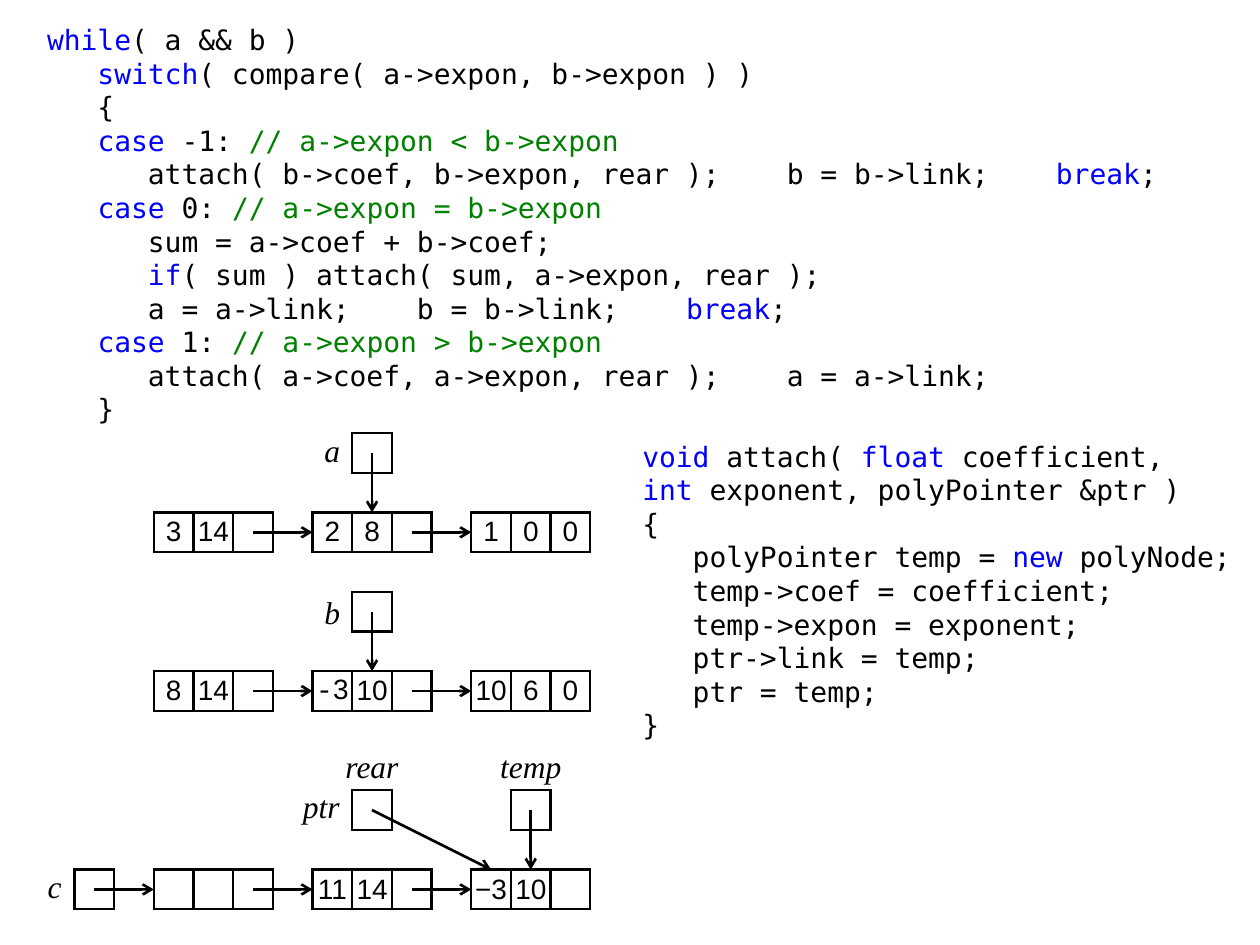
from typing import NamedTuple, Optional

from lxml import etree
from pptx import Presentation
from pptx import util as u
from pptx.dml.color import RGBColor
from pptx.enum import shapes, text
from pptx.oxml import ns

COLORS = {"ink": "000000", "keyword": "0000FF", "comment": "008000"}
CODE_FONT, CELL_FONT, LABEL_FONT = "DejaVu Sans Mono", "Arial", "Times New Roman"
CELL = 0.8  # grid step in cm
GRID_LEFT, GRID_TOP = 1.5, 8.73
BORDER = u.Pt(1.5)
GAP = None  # table column between two nodes

# Keywords stand between backticks; "\n" inside an entry breaks the line.
MERGE_CODE = [
    "`while`( a && b )",
    "`   switch`( compare( a->expon, b->expon ) )",
    "   {",
    "   `case` -1: // a->expon < b->expon",
    "      attach( b->coef, b->expon, rear );    b = b->link;    `break`;",
    "   `case` 0: // a->expon = b->expon",
    "      sum = a->coef + b->coef;",
    "      `if`( sum ) attach( sum, a->expon, rear );",
    "      a = a->link;    b = b->link;    `break`;",
    "   `case` 1: // a->expon > b->expon",
    "      attach( a->coef, a->expon, rear );    a = a->link;",
    "   }",
]
ATTACH_CODE = [
    "`void` attach( `float `coefficient,\n`int `exponent, polyPointer &ptr )",
    "{",
    "   polyPointer temp = `new `polyNode;",
    "   temp->coef = coefficient;",
    "   temp->expon = exponent;",
    "   ptr->link = temp;",
    "   ptr = temp;",
    "}",
]


class Cells(NamedTuple):
    """A row of cells; col and row are grid positions."""
    col: float
    row: float
    values: list[Optional[str]]


class Label(NamedTuple):
    name: str
    col: float
    row: float
    width: float = 1
    bottom: float = 0.0
    anchor: text.MSO_ANCHOR = text.MSO_ANCHOR.MIDDLE
    align: text.PP_ALIGN = text.PP_ALIGN.CENTER
    side: float = 0.0


class Arrow(NamedTuple):
    start: tuple[float, float]
    end: tuple[float, float]


LIST_A, LIST_B, LIST_C = 2, 6, 11  # grid rows of the three lists
NODES = (2, 6, 10)  # grid columns of the list nodes

CELL_ROWS = [
    Cells(2, LIST_A, ["3", "14", "", GAP, "2", "8", "", GAP, "1", "0", "0"]),
    Cells(2, LIST_B, ["8", "14", "", GAP, "-3", "10", "", GAP, "10", "6", "0"]),
    Cells(2, LIST_C, ["", "", ""]),
    Cells(6, LIST_C, ["11", "14", ""]),
    Cells(10, LIST_C, ["−3", "10", ""]),
] + [Cells(col, row, [""]) for col, row in ((7, 0), (7, 4), (0, 11), (7, 9), (11, 9))]

LABELS = [
    Label("a", 6, 0, bottom=0.13),
    Label("b", 6, 4),
    Label("c", -1, LIST_C, bottom=0.13),
    Label("rear", 6.5, 8, 2, 0.1, text.MSO_ANCHOR.BOTTOM),
    Label("temp", 10.5, 8, 2, 0.1, text.MSO_ANCHOR.BOTTOM),
    Label("ptr", 5, 9, 2, 0.1, text.MSO_ANCHOR.BOTTOM, text.PP_ALIGN.RIGHT, 0.25),
]

ARROWS = [
    Arrow((node + 2.5, row + 0.5), (node + 4, row + 0.5))
    for row in (LIST_A, LIST_B, LIST_C) for node in NODES[:-1]
] + [
    Arrow((0.5, 11.5), (2, 11.5)),
    Arrow((7.5, 0.5), (7.5, 2)),
    Arrow((7.5, 4.5), (7.5, 6)),
    Arrow((11.5, 9.5), (11.5, 11)),
    Arrow((7.5, 9.5), (10.5, 11)),
]


def grid(col: float, row: float) -> tuple[u.Length, u.Length]:
    return u.Cm(GRID_LEFT + col * CELL), u.Cm(GRID_TOP + row * CELL)


def style(font, face: str, size: float, color: str = "ink") -> None:
    font.name, font.size = face, u.Pt(size)
    font.color.rgb = RGBColor.from_string(COLORS[color])


def add_code(slide, left: float, top: float, width: float, height: float,
             lines: list[str]) -> None:
    frame = slide.shapes.add_textbox(*map(u.Cm, (left, top, width, height))).text_frame
    frame.word_wrap = True
    for number, line in enumerate(lines):
        paragraph = frame.paragraphs[0] if number == 0 else frame.add_paragraph()
        paragraph.line_spacing = u.Pt(19.2)
        for part_number, part in enumerate(line.split("\n")):
            if part_number:
                paragraph.add_line_break()
            add_highlighted(paragraph, part)


def add_highlighted(paragraph, line: str) -> None:
    code, slashes, remark = line.partition("//")
    pieces = [(piece, "keyword" if i % 2 else "ink")
              for i, piece in enumerate(code.split("`"))]
    pieces.append((slashes + remark, "comment"))
    for piece, color in pieces:
        if piece:
            run = paragraph.add_run()
            run.text = piece
            style(run.font, CODE_FONT, 16, color)


def set_borders(cell, is_gap: bool) -> None:
    """Outline a cell; a gap keeps only its left and right sides."""
    properties = cell._tc.get_or_add_tcPr()
    for side in "LRTB":
        line = etree.SubElement(properties, ns.qn(f"a:ln{side}"), w=str(BORDER))
        if is_gap and side in "TB":
            etree.SubElement(line, ns.qn("a:noFill"))
        else:
            fill = etree.SubElement(line, ns.qn("a:solidFill"))
            etree.SubElement(fill, ns.qn("a:srgbClr"), val=COLORS["ink"])


def add_cells(slide, cells: Cells) -> None:
    count = len(cells.values)
    table = slide.shapes.add_table(1, count, *grid(cells.col, cells.row),
                                   u.Cm(count * CELL), u.Cm(CELL)).table
    table.first_row = table.horz_banding = False
    for column, cell, value in zip(table.columns, table.rows[0].cells, cells.values):
        column.width = u.Cm(CELL)
        set_borders(cell, value is GAP)
        cell.fill.background()
        cell.margin_left = cell.margin_right = cell.margin_top = cell.margin_bottom = 0
        cell.vertical_anchor = text.MSO_ANCHOR.MIDDLE
        paragraph = cell.text_frame.paragraphs[0]
        paragraph.alignment = text.PP_ALIGN.CENTER
        digits = (value or "").removeprefix("-")
        sign = "-" if digits != (value or "") else ""
        for piece, face in ((sign, "Courier New"), (digits, CELL_FONT)):
            if piece:
                run = paragraph.add_run()
                run.text = piece
                style(run.font, face, 16)


def add_label(slide, label: Label) -> None:
    frame = slide.shapes.add_textbox(*grid(label.col, label.row),
                                     u.Cm(label.width * CELL), u.Cm(CELL)).text_frame
    frame.word_wrap = False
    frame.margin_left = frame.margin_right = u.Cm(label.side)
    frame.margin_top, frame.margin_bottom = 0, u.Cm(label.bottom)
    frame.vertical_anchor = label.anchor
    frame.text = label.name
    name = frame.paragraphs[0]
    name.alignment = label.align
    style(name.runs[0].font, LABEL_FONT, 18)
    name.runs[0].font.italic = True


def add_arrow(slide, arrow: Arrow) -> None:
    link = slide.shapes.add_connector(shapes.MSO_CONNECTOR.STRAIGHT,
                                      *grid(*arrow.start), *grid(*arrow.end))
    link.line.width = BORDER
    link.line.color.rgb = RGBColor.from_string(COLORS["ink"])
    etree.SubElement(link.line._get_or_add_ln(), ns.qn("a:tailEnd"), type="arrow")
    etree.SubElement(link._element.spPr, ns.qn("a:effectLst"))


def main() -> None:
    deck = Presentation()
    deck.slide_width, deck.slide_height = u.Cm(25.4), u.Cm(19.05)
    slide = deck.slides.add_slide(deck.slide_layouts[6])
    add_code(slide, 0.7, 0.33, 23.2, 8.4, MERGE_CODE)
    add_code(slide, 12.7, GRID_TOP, 12.45, 6.4, ATTACH_CODE)
    for draw, items in ((add_cells, CELL_ROWS), (add_label, LABELS), (add_arrow, ARROWS)):
        for item in items:
            draw(slide, item)
    deck.save("out.pptx")


if __name__ == "__main__":
    main()
